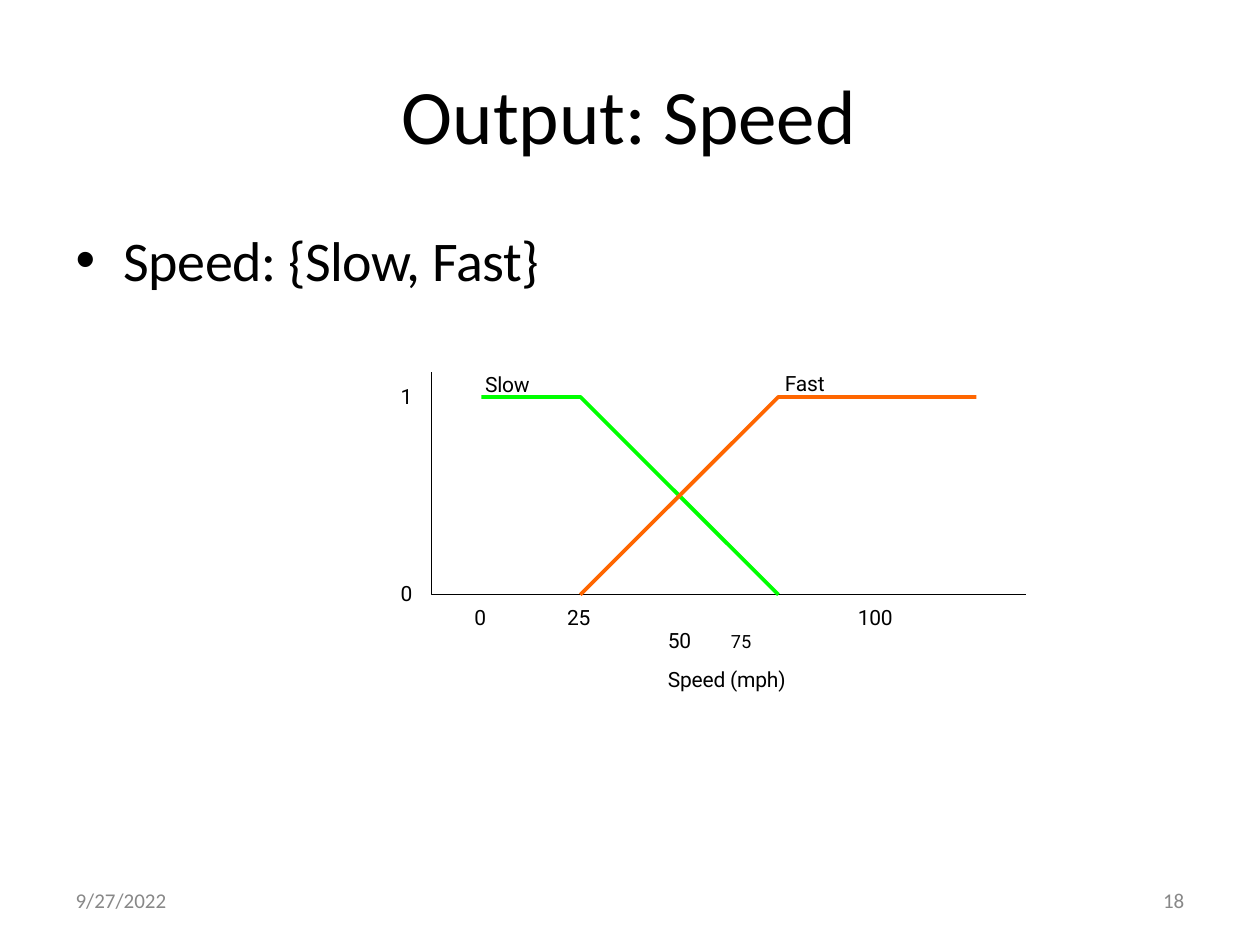
"""Build the slide that shows the fuzzy membership functions of the speed output."""
from pptx import Presentation
from pptx.dml.color import RGBColor
from pptx.enum.text import MSO_ANCHOR as Anchor
from pptx.oxml.ns import qn
from pptx.util import Inches, Pt
from lxml.etree import SubElement

deck = Presentation()
deck.slide_width, deck.slide_height = Inches(10), Inches(7.5)
COL, ROW = deck.slide_width / 100, deck.slide_height / 100
slide = deck.slides.add_slide(deck.slide_layouts[6])

ZERO_MPH, MPH_STEP = 38.2, 7.86
TRUTH_0, TRUTH_1 = 62.93, 42


def write(text, col, row, cols, rows, size=12, font="Roboto", color="000000",
          spacing=-10, top=0.02, indent=0.01, hanging=0, bullet=None, tab=None,
          gap=0, leading=None):
    box = slide.shapes.add_textbox(*(round(v) for v in (col * COL, row * ROW, cols * COL, rows * ROW)))
    frame = box.text_frame
    frame.word_wrap, frame.vertical_anchor = True, Anchor.TOP
    frame.margin_left = frame.margin_right = frame.margin_bottom = 0
    frame.margin_top = Inches(top)
    for number, line in enumerate(text.split("\n")):
        paragraph = frame.add_paragraph() if number else frame.paragraphs[0]
        if number:
            paragraph.space_before = Pt(gap)
        if leading:
            paragraph.line_spacing = Pt(leading)
        layout = paragraph._p.get_or_add_pPr()
        layout.set("marL", str(Inches(indent)))
        layout.set("indent", str(Inches(hanging)))
        if bullet:
            SubElement(layout, qn("a:buFont"), typeface="Arial")
            SubElement(layout, qn("a:buChar"), char=bullet)
        if tab and not number:
            stops = SubElement(layout, qn("a:tabLst"))
            SubElement(stops, qn("a:tab"), pos=str(Inches(tab)), algn="l")
        run = paragraph.add_run()
        run.text = line
        run.font.size, run.font.name = Pt(size), font
        run.font.color.rgb = RGBColor.from_string(color)
        run._r.get_or_add_rPr().set("spc", str(spacing))
    return frame


def plot(points, color, width):
    places = [(round((ZERO_MPH + mph / 25 * MPH_STEP) * COL),
               round((TRUTH_0 + truth * (TRUTH_1 - TRUTH_0)) * ROW)) for mph, truth in points]
    builder = slide.shapes.build_freeform(*places[0])
    builder.add_line_segments(places[1:], close=False)
    curve = builder.convert_to_shape()
    curve.shadow.inherit = False
    curve.fill.background()
    curve.line.color.rgb = RGBColor.from_string(color)
    curve.line.width = Pt(width)


write("Output: Speed", 31.8, 6.8, 36.4, 10.13, size=44, font="Calibri", spacing=-6, top=0.03)
write("Speed: {Slow, Fast}", 5.9, 23.47, 37.8, 7.47, size=32, font="Calibri", spacing=-27,
      top=0.03, indent=0.39, hanging=-0.38, bullet="•")

plot([(-12.5, 1.125), (-12.5, 0), (137.5, 0)], "000000", 0.72)

middle = write("50\t\nSpeed (mph)", 52.8, 62.67, 10.1, 8, top=0.2, indent=0.02, tab=0.81, gap=6.3)
raised = middle.paragraphs[0].add_run()
raised.text = "75"
raised.font.size, raised.font.name = Pt(18), "Roboto"
raised.font.color.rgb = RGBColor.from_string("000000")
raised._r.get_or_add_rPr().set("baseline", "2000")

for mph in (100, 25, 0):
    label = str(mph)
    width = 0.3 + len(label)
    write(label, ZERO_MPH + mph / 25 * MPH_STEP - width / 2, 63.73, width, 3.07)

for label, col, row, width in (("Slow", 38.4, 39.07, 3.9), ("Fast", 62.2, 38.93, 3.5),
                               ("0", 31.7, 61.2, 1.2), ("1", 31.7, 40.27, 1.2)):
    write(label, col, row, width, 3.07)

plot([(0, 1), (25, 1), (75, 0)], "00FF00", 2.15)
plot([(25, 0), (75, 1), (125, 1)], "FF6600", 2.15)

for label, col, width, indent in (("9/27/2022", 5.9, 7.5, 0.01), ("18", 91.9, 2.5, 0.04)):
    write(label, col, 94.27, width, 2.67, font="Calibri", color="888888", spacing=0,
          top=0, indent=indent, leading=12.4)

deck.save("out.pptx")
